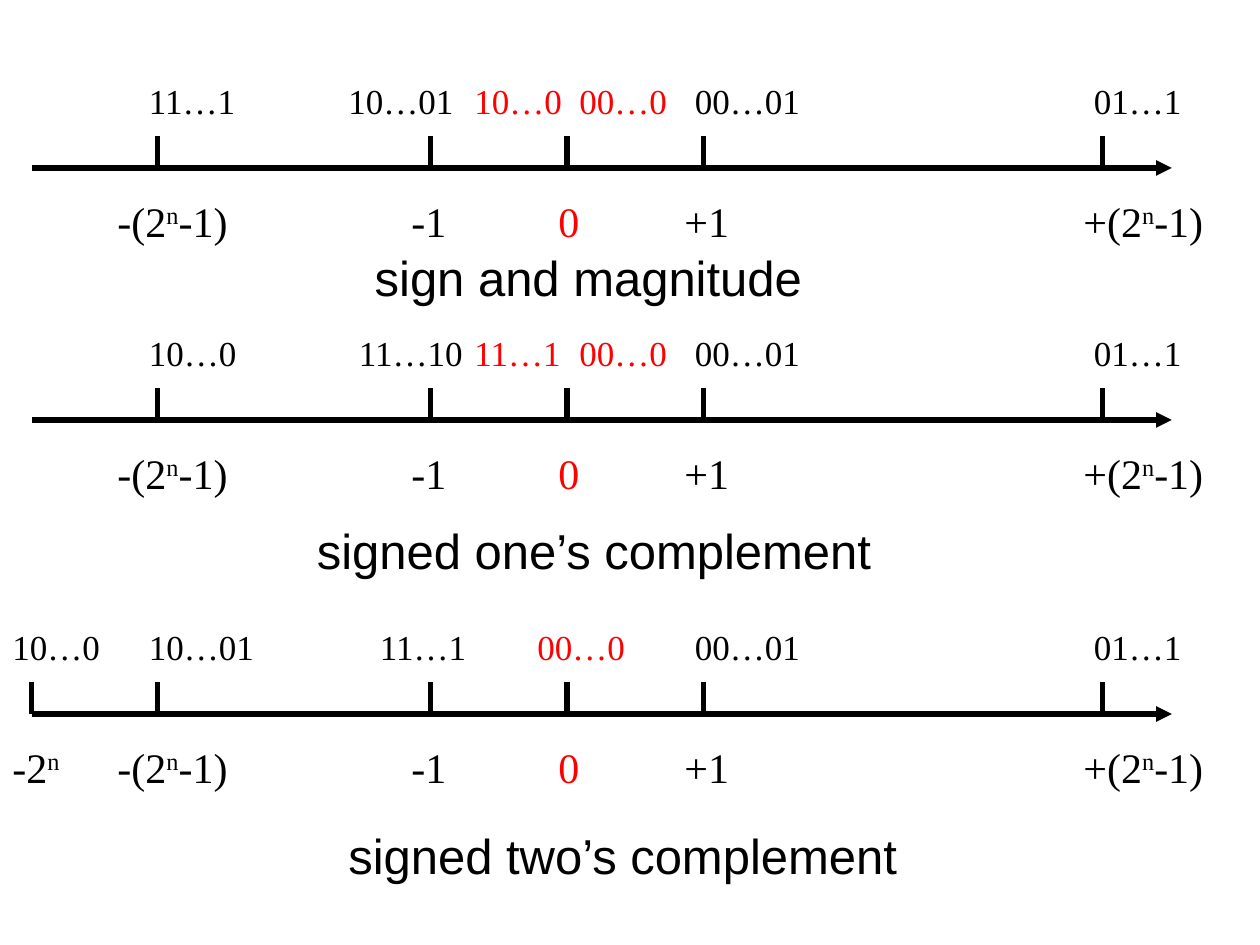
from dataclasses import dataclass

from lxml import etree
from pptx import Presentation
from pptx.dml.color import RGBColor
from pptx.enum.shapes import MSO_CONNECTOR
from pptx.enum.text import MSO_AUTO_SIZE
from pptx.oxml.ns import qn
from pptx.util import Inches, Pt

LINE = MSO_CONNECTOR.STRAIGHT
GROW = MSO_AUTO_SIZE.SHAPE_TO_FIT_TEXT
UNIT = Inches(1) / 12
INK = {"black": "000000", "red": "FF0000"}


@dataclass(frozen=True)
class Style:
    font: str
    size: int
    high: float


@dataclass(frozen=True)
class Label:
    text: str
    col: float
    wide: float = 13
    ink: str = "black"


@dataclass(frozen=True)
class Scale:
    row: float
    name: Label
    drop: float
    codes: tuple[Label, ...]
    low: bool = False


CODE = Style("Times New Roman", 20, 5.28)
VALUE = Style("Times New Roman", 24, 6)
NAME = Style("Arial", 28, 6.84)

START, END = 3, 111.6
TICKS = (15, 41, 54, 67, 105)
VALUES = (
    Label("-(2^n^-1)", 10, 14),
    Label("-1", 38, 8),
    Label("0", 52, 6, "red"),
    Label("+1", 64, 8),
    Label("+(2^n^-1)", 102, 14),
)
LOW = Label("-2^n", 0, 9)
RIGHT = (Label("00…01", 65), Label("01…1", 103))

SCALES = (
    Scale(16, Label("sign and magnitude", 34.5, 50), 7, (
        Label("11…1", 13), Label("10…01", 32),
        Label("10…0", 44, ink="red"), Label("00…0", 54, ink="red"))),
    Scale(40, Label("signed one’s complement", 29, 61), 9, (
        Label("10…0", 13), Label("11…10", 33),
        Label("11…1", 44, ink="red"), Label("00…0", 54, ink="red"))),
    Scale(68, Label("signed two’s complement", 32, 55), 10, (
        Label("10…0", 0), Label("10…01", 13), Label("11…1", 35),
        Label("00…0", 50, ink="red")), low=True),
)


def grid(*cells: float) -> list[int]:
    return [round(cell * UNIT) for cell in cells]


def draw_line(slide, x1: float, y1: float, x2: float, y2: float,
              arrow: bool = False) -> None:
    line = slide.shapes.add_connector(LINE, *grid(x1, y1, x2, y2))
    line.line.width = Pt(3)
    line.line.color.rgb = RGBColor.from_string(INK["black"])
    if arrow:
        etree.SubElement(line.line._get_or_add_ln(), qn("a:tailEnd"),
                         type="triangle")
    etree.SubElement(line._element.spPr, qn("a:effectLst"))


def draw_text(slide, label: Label, row: float, style: Style) -> None:
    box = slide.shapes.add_textbox(
        *grid(label.col, row, label.wide, style.high))
    frame = box.text_frame
    frame.word_wrap = True
    frame.auto_size = GROW
    for i, part in enumerate(label.text.split("^")):
        run = frame.paragraphs[0].add_run()
        run.text = part
        run.font.name = style.font
        run.font.size = Pt(style.size)
        run.font.color.rgb = RGBColor.from_string(INK[label.ink])
        if i % 2:
            run._r.get_or_add_rPr().set("baseline", "30000")


def draw_scale(slide, scale: Scale) -> None:
    row = scale.row
    draw_line(slide, START, row, END, row, arrow=True)
    for col in TICKS + ((START,) if scale.low else ()):
        draw_line(slide, col, row, col, row - 3)
    for code in scale.codes + RIGHT:
        draw_text(slide, code, row - 9, CODE)
    for value in VALUES + ((LOW,) if scale.low else ()):
        draw_text(slide, value, row + 2, VALUE)
    draw_text(slide, scale.name, row + scale.drop, NAME)


def main() -> None:
    deck = Presentation()
    deck.slide_width, deck.slide_height = grid(120, 90)
    slide = deck.slides.add_slide(deck.slide_layouts[6])
    for scale in SCALES:
        draw_scale(slide, scale)
    deck.save("out.pptx")


if __name__ == "__main__":
    main()
